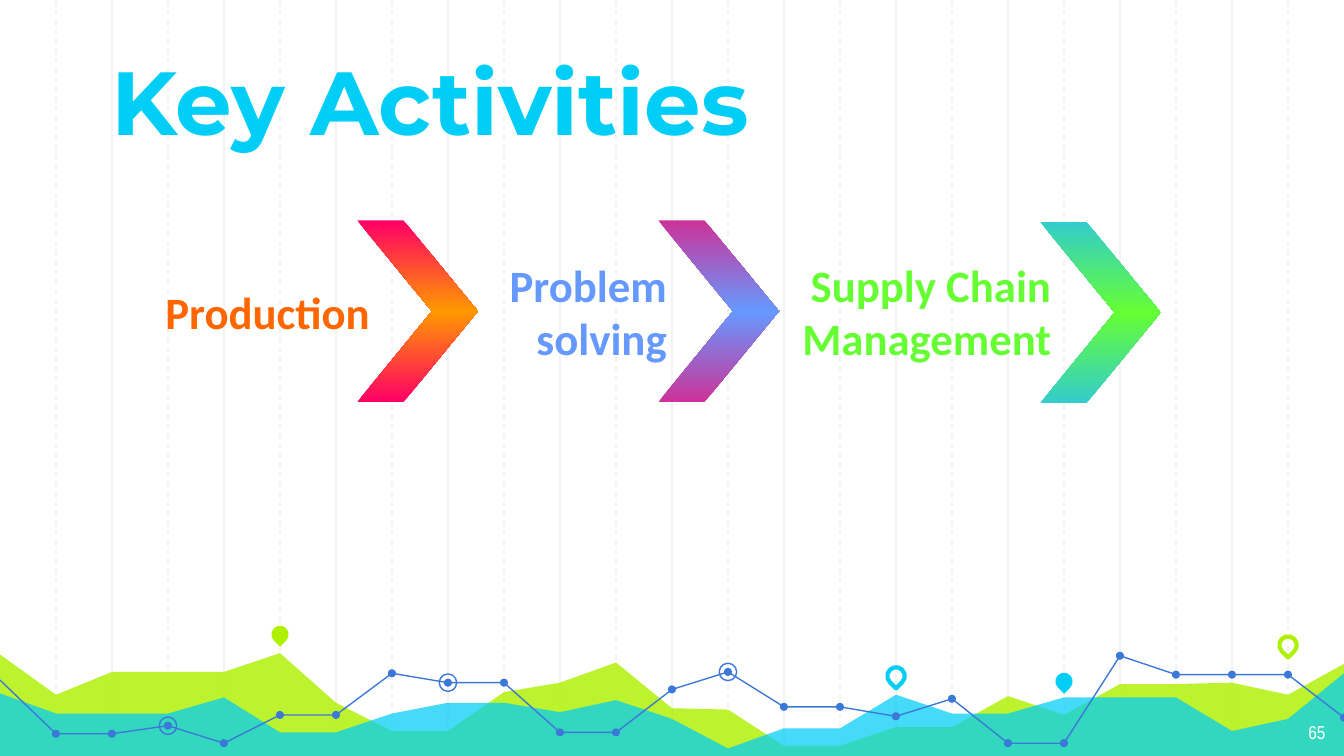
from lxml.etree import SubElement
from pptx import Presentation
from pptx.dml.color import RGBColor
from pptx.enum.dml import MSO_LINE
from pptx.enum.shapes import MSO_CONNECTOR, MSO_SHAPE
from pptx.enum.text import MSO_ANCHOR, PP_ALIGN
from pptx.oxml.ns import qn
from pptx.util import Inches, Pt

WIDTH = 10
HEIGHT = WIDTH * 9 / 16
COLUMNS = 24
GRID, LIME, CYAN, BLUE, WHITE = "F3F3F3", "AFF000", "00CEF6", "3C78D8", "FFFFFF"

# Heights at each grid column, from the left edge to the right edge
AREAS = [
    (LIME, 82, [4.87, 5.17, 5, 5, 5, 4.86, 5.23, 5.44, 5.44, 5.15, 5.08, 4.93, 5.27,
                5.28, 5.55, 5.55, 5.41, 5.41, 5.18, 5.32, 5.09, 5.09, 5.08, 5.17, 4.94]),
    (CYAN, 73, [5.16, 5.31, 5.31, 5.31, 5.19, 5.45, 5.45, 5.31, 5.23, 5.23, 5.3, 5.21, 5.35,
                5.57, 5.42, 5.42, 5.17, 5.31, 5.31, 5.19, 5.19, 5.19, 5.44, 5.35, 5.01]),
]
TREND = [5.06, 5.46, 5.46, 5.4, 5.53, 5.32, 5.32, 5.01, 5.08, 5.08, 5.45, 5.45, 5.13,
         5, 5.26, 5.26, 5.33, 5.2, 5.53, 5.53, 4.88, 5.02, 5.02, 5.02, 5.34]
TREND_SECTIONS = [(0, 11), (11, 20), (20, 24)]
RINGED_COLUMNS = [3, 8, 13]
# column, centre height, colour, filled
PINS = [(5, 4.72, LIME, True), (16, 5.03, CYAN, False),
        (19, 5.07, CYAN, True), (23, 4.8, LIME, False)]
# text, text left, text width, text colour, chevron left, chevron top, gradient
ACTIVITIES = [
    ("Production", 0.94, 1.91, "FF6600", 2.66, 1.64, ("FF0066", "FF9900")),
    ("Problem solving", 3.01, 2.05, "6699FF", 4.9, 1.64, ("CC3399", "6699FF")),
    ("Supply Chain Management", 5.59, 2.33, "66FF33", 7.74, 1.65, ("33CCCC", "66FF33")),
]


def color(value):
    return RGBColor.from_string(value)


def column_x(column):
    return column * WIDTH / COLUMNS


def paint(shape, fill=None, line=None, weight=0.75):
    shape.shadow.inherit = False
    if fill:
        shape.fill.solid()
        shape.fill.fore_color.rgb = color(fill)
    else:
        shape.fill.background()
    if line:
        shape.line.color.rgb = color(line)
        shape.line.width = Pt(weight)
    else:
        shape.line.fill.background()


def add_outline(page, points, close):
    corners = [(Inches(x), Inches(y)) for x, y in points]
    builder = page.shapes.build_freeform(*corners[0], scale=1.0)
    builder.add_line_segments(corners[1:], close=close)
    return builder.convert_to_shape()


def add_centred(page, kind, x, y, size):
    return page.shapes.add_shape(kind, Inches(x - size / 2), Inches(y - size / 2),
                                 Inches(size), Inches(size))


def add_grid(page):
    for column in [*range(2, COLUMNS, 2), *range(1, COLUMNS, 2)]:
        x = Inches(column_x(column))
        rule = page.shapes.add_connector(MSO_CONNECTOR.STRAIGHT, x, 0, x, Inches(5.65))
        rule.line.color.rgb = color(GRID)
        rule.line.width = Pt(0.75)
        if column % 2:
            rule.line.dash_style = MSO_LINE.DASH
        SubElement(rule.element.spPr, qn("a:effectLst"))


def add_landscape(page):
    for fill, opacity, heights in AREAS:
        ridge = [(column_x(column), y) for column, y in enumerate(heights)]
        area = add_outline(page, ridge + [(WIDTH + 0.02, 5.64), (-0.03, 5.64)], True)
        paint(area, fill)
        tint = area.element.spPr.find(".//" + qn("a:srgbClr"))
        SubElement(tint, qn("a:alpha")).set("val", str(opacity * 1000))

    for column, y, tone, filled in PINS:
        pin = add_centred(page, MSO_SHAPE.TEAR, column_x(column), y, 0.13)
        pin.rotation = 135
        paint(pin, tone if filled else None, None if filled else tone, 2.25)

    trend = [(column_x(column), y) for column, y in enumerate(TREND)]
    for first, last in TREND_SECTIONS:
        paint(add_outline(page, trend[first:last + 1], False), line=BLUE)
    for x, y in trend[1:]:
        paint(add_centred(page, MSO_SHAPE.OVAL, x, y, 0.06), BLUE)
    for column in RINGED_COLUMNS:
        paint(add_centred(page, MSO_SHAPE.OVAL, *trend[column], 0.13), line=BLUE)


def write(box, text, font, size, tone, bold, align, anchor, bottom=0.1):
    frame = box.text_frame
    frame.word_wrap = True
    frame.vertical_anchor = anchor
    frame.margin_left = frame.margin_right = frame.margin_top = Inches(0.1)
    frame.margin_bottom = Inches(bottom)
    para = frame.paragraphs[0]
    para.alignment = align
    span = para.add_run()
    span.text = text
    span.font.name = font
    span.font.size = Pt(size)
    span.font.bold = bold
    span.font.color.rgb = color(tone)


def add_chevron(page, left, top, gradient):
    """Two mirrored parallelograms whose gradients meet at the tip."""
    for half in range(2):
        arm = page.shapes.add_shape(MSO_SHAPE.PARALLELOGRAM, Inches(left),
                                    Inches(top + half * 0.67), Inches(0.9), Inches(0.68))
        arm.adjustments[0] = 0.82
        paint(arm)
        arm.fill.gradient()
        arm.fill.gradient_angle = 270
        for position, (stop, tone) in enumerate(zip(arm.fill.gradient_stops, gradient)):
            stop.color.rgb = color(tone)
            stop.position = position
        if half:
            arm.rotation = 180
        else:
            arm.element.spPr.find(qn("a:xfrm")).set("flipH", "1")


def main():
    deck = Presentation()
    deck.slide_width, deck.slide_height = Inches(WIDTH), Inches(HEIGHT)
    page = deck.slides.add_slide(deck.slide_layouts[5])
    page.background.fill.solid()
    page.background.fill.fore_color.rgb = color(WHITE)

    add_grid(page)
    add_landscape(page)

    title = page.shapes.title
    title.left, title.top = Inches(0.73), Inches(0.86)
    title.width, title.height = Inches(7.65), Inches(1.19)
    write(title, "Key Activities", "Montserrat", 48, CYAN, True,
          PP_ALIGN.LEFT, MSO_ANCHOR.BOTTOM, bottom=0.91)
    title.element.getparent().append(title.element)  # in front of the grid

    number = page.shapes.add_textbox(Inches(9.36), Inches(5.28), Inches(0.6), Inches(0.35))
    write(number, "65", "Arial Narrow", 10, WHITE, False, PP_ALIGN.RIGHT, MSO_ANCHOR.TOP)

    for *_, left, top, gradient in ACTIVITIES:
        add_chevron(page, left, top, gradient)
    for text, left, width, tone, *_ in ACTIVITIES:
        label = page.shapes.add_textbox(Inches(left), Inches(1.64), Inches(width), Inches(1.35))
        write(label, text, "Calibri", 24, tone, True, PP_ALIGN.RIGHT, MSO_ANCHOR.MIDDLE)

    deck.save("out.pptx")


if __name__ == "__main__":
    main()
